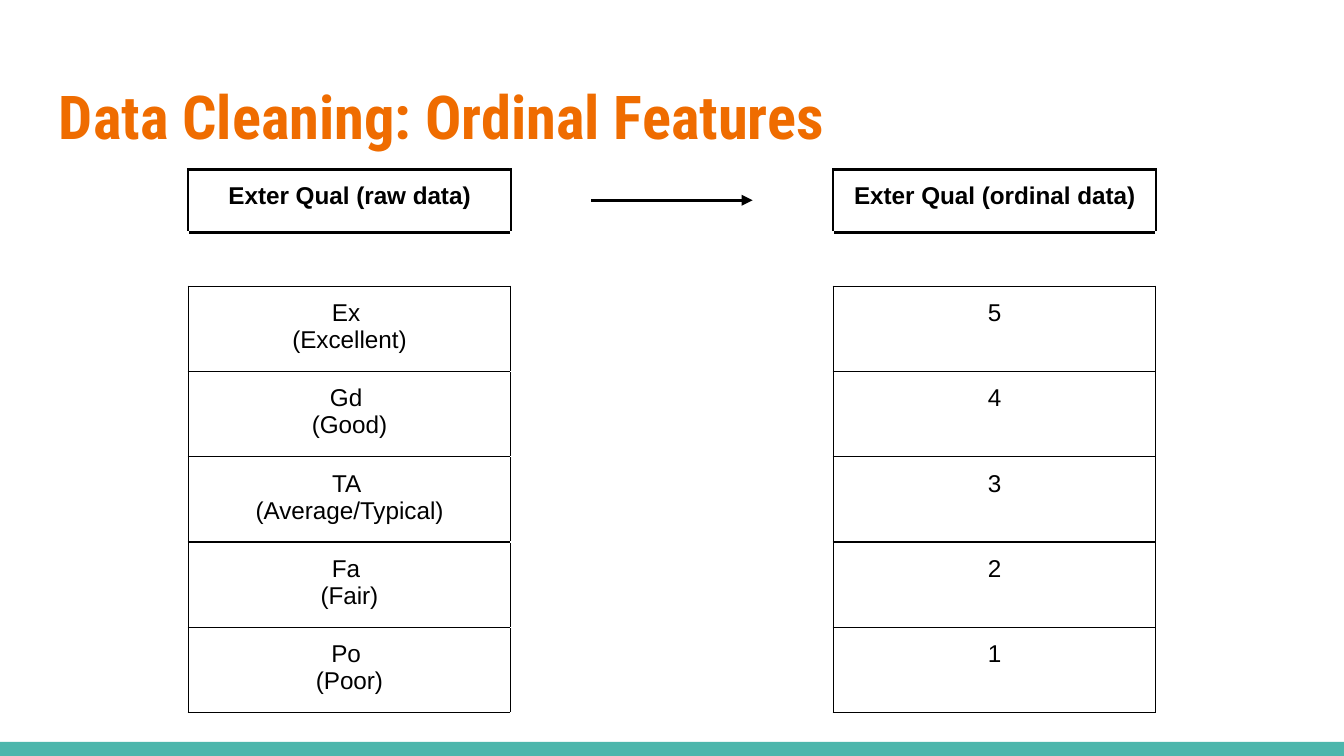
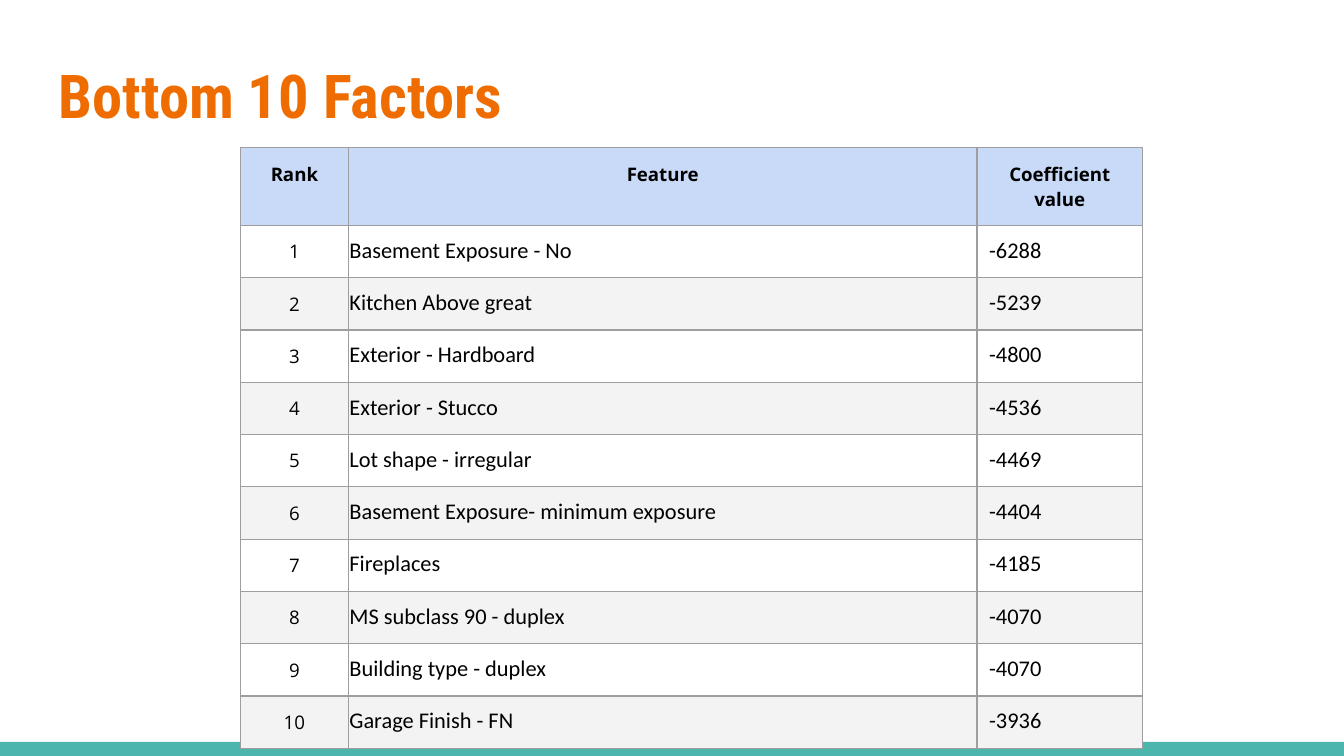
from lxml import etree
from pptx import Presentation
from pptx.dml.color import RGBColor
from pptx.enum.shapes import MSO_CONNECTOR, MSO_SHAPE
from pptx.enum.text import MSO_ANCHOR, PP_ALIGN
from pptx.oxml.ns import qn
from pptx.util import Inches, Pt

ORANGE = RGBColor(0xEF, 0x6C, 0x00)
TEAL = RGBColor(0x4D, 0xB6, 0xAC)
BLACK = RGBColor(0x00, 0x00, 0x00)
WHITE = RGBColor(0xFF, 0xFF, 0xFF)
GREY = RGBColor(0x9E, 0x9E, 0x9E)
PALE_GREY = RGBColor(0xF3, 0xF3, 0xF3)
PALE_BLUE = RGBColor(0xC9, 0xDA, 0xF8)

TITLE_FONT = "Roboto Condensed"
THIN, THICK = 0.75, 1.5
EVEN_MARGINS = (0.1, 0.1, 0.1, 0.1)

QUALITIES = [
    ("Ex ", "(Excellent)"),
    ("Gd ", "(Good)"),
    ("TA ", "(Average/Typical)"),
    ("Fa ", "(Fair)"),
    ("Po ", "(Poor)"),
]
FACTORS = [
    ("Basement Exposure - No", -6288),
    ("Kitchen Above great", -5239),
    ("Exterior - Hardboard", -4800),
    ("Exterior - Stucco", -4536),
    ("Lot shape - irregular", -4469),
    ("Basement Exposure- minimum exposure", -4404),
    ("Fireplaces", -4185),
    ("MS subclass 90 - duplex", -4070),
    ("Building type - duplex", -4070),
    ("Garage Finish - FN", -3936),
]


def format_text(text_frame, font_name, size, color, bold=False, alignment=PP_ALIGN.LEFT):
    """Give every run of a text frame the same look."""
    for paragraph in text_frame.paragraphs:
        paragraph.alignment = alignment
        paragraph.line_spacing = 1.0
        for run in paragraph.runs:
            run.font.name = font_name
            run.font.size = Pt(size)
            run.font.bold = bold
            run.font.color.rgb = color


def set_margins(target, margins):
    """Set left, top, right and bottom margins of a cell or text frame."""
    sides = ("margin_left", "margin_top", "margin_right", "margin_bottom")
    for side, margin in zip(sides, margins):
        setattr(target, side, Inches(margin))


def set_borders(cell, left, top, right, bottom):
    """Draw the four borders of a cell, each given as (color, points)."""
    properties = cell._tc.get_or_add_tcPr()
    borders = {"a:lnL": left, "a:lnR": right, "a:lnT": top, "a:lnB": bottom}
    for index, (tag, (color, width)) in enumerate(borders.items()):
        line = etree.Element(qn(tag), w=str(Pt(width)))
        fill = etree.SubElement(line, qn("a:solidFill"))
        etree.SubElement(fill, qn("a:srgbClr"), val=str(color))
        properties.insert(index, line)


def write_cell(cell, text, font_name, size, bold=False, alignment=PP_ALIGN.CENTER,
               margins=EVEN_MARGINS, anchor=MSO_ANCHOR.TOP):
    """Fill a cell with formatted black text."""
    cell.text_frame.text = text
    cell.vertical_anchor = anchor
    set_margins(cell, margins)
    format_text(cell.text_frame, font_name, size, BLACK, bold, alignment)


def add_plain_table(slide, left, top, widths, heights):
    """Add a table without style banding and with unfilled cells."""
    frame = slide.shapes.add_table(
        len(heights), len(widths), Inches(left), Inches(top),
        Inches(sum(widths)), Inches(sum(heights)))
    table = frame.table
    table.first_row = False
    table.horz_banding = False
    for column, width in zip(table.columns, widths):
        column.width = Inches(width)
    for row, height in zip(table.rows, heights):
        row.height = Inches(height)
    for cell in table.iter_cells():
        cell.fill.background()
    return table


def add_footer_band(slide, left, top, width, height):
    """Add the teal band at the foot of a slide."""
    band = slide.shapes.add_shape(
        MSO_SHAPE.RECTANGLE, Inches(left), Inches(top), Inches(width), Inches(height))
    band.shadow.inherit = False
    band.fill.solid()
    band.fill.fore_color.rgb = TEAL
    band.line.fill.background()


def add_title(slide, text, top):
    """Add the orange slide title."""
    box = slide.shapes.add_textbox(Inches(0.34), Inches(top), Inches(9.32), Inches(0.77))
    text_frame = box.text_frame
    text_frame.word_wrap = True
    text_frame.vertical_anchor = MSO_ANCHOR.TOP
    set_margins(text_frame, EVEN_MARGINS)
    text_frame.text = text
    format_text(text_frame, TITLE_FONT, 32.4, ORANGE, bold=True)


def add_base_slide(presentation):
    """Add a blank slide with the shared footer band."""
    slide = presentation.slides.add_slide(presentation.slide_layouts[6])
    add_footer_band(slide, 0, 5.52, 10, 0.11)
    return slide


def add_arrow(slide, left, right, y):
    """Add a horizontal arrow pointing right."""
    arrow = slide.shapes.add_connector(
        MSO_CONNECTOR.STRAIGHT, Inches(left), Inches(y), Inches(right), Inches(y))
    arrow.line.color.rgb = BLACK
    arrow.line.width = Pt(THICK)
    etree.SubElement(arrow.line._get_or_add_ln(), qn("a:tailEnd"), type="triangle")
    etree.SubElement(arrow._element.spPr, qn("a:effectLst"))


def add_quality_table(slide, left, top, column_width):
    """Add the mapping from raw quality labels to ordinal values."""
    heights = [0.47, 0.38, 0.58, 0.58, 0.62, 0.58, 0.58]
    table = add_plain_table(slide, left, top, [column_width] * 3, heights)
    thin, thick = (BLACK, THIN), (BLACK, THICK)
    thin_gap, thick_gap = (WHITE, THIN), (WHITE, THICK)

    for column, kind in ((0, "raw"), (2, "ordinal")):
        header = table.cell(0, column)
        write_cell(header, f"Exter Qual ({kind} data)", "Arial", 13, bold=True)
        set_borders(header, thick, thick, thick, thick)
        set_borders(table.cell(1, column), thick_gap, thick, thick_gap, thin)
    set_borders(table.cell(0, 1), thick, thick_gap, thick, thick_gap)
    set_borders(table.cell(1, 1), thick_gap, thick_gap, thick_gap, thick_gap)

    for index, labels in enumerate(QUALITIES):
        row = index + 2
        texts = {0: "\n".join(labels), 2: str(len(QUALITIES) - index)}
        for column, text in texts.items():
            write_cell(table.cell(row, column), text, "Arial", 13)
            set_borders(table.cell(row, column), thin, thin, thin, thin)
        gap_top = thin_gap if index else thick_gap
        set_borders(table.cell(row, 1), thin, gap_top, thin, thin_gap)


def add_factor_table(slide, left, top):
    """Add the ranked table of features and coefficients."""
    heights = [0.46] + [0.34] * 3 + [0.36, 0.26] + [0.34] * 5
    table = add_plain_table(slide, left, top, [0.8, 4.68, 1.23], heights)

    for column, heading in enumerate(("Rank", "Feature", "Coefficient value")):
        write_cell(table.cell(0, column), heading, "Open Sans", 10, bold=True)
    for rank, (feature, coefficient) in enumerate(FACTORS, start=1):
        write_cell(table.cell(rank, 0), str(rank), "Open Sans", 10)
        details = ((feature, 0.01), (str(coefficient), 0.09))
        for column, (text, indent) in enumerate(details, start=1):
            write_cell(table.cell(rank, column), text, "Calibri", 12,
                       alignment=PP_ALIGN.LEFT, margins=(indent, 0.01, 0.01, 0.1),
                       anchor=MSO_ANCHOR.BOTTOM)

    border = (GREY, THIN)
    for row_index, row in enumerate(table.rows):
        for cell in row.cells:
            if row_index % 2 == 0:
                cell.fill.solid()
                cell.fill.fore_color.rgb = PALE_GREY if row_index else PALE_BLUE
            set_borders(cell, border, border, border, border)


def build_ordinal_slide(presentation):
    """Build the slide on ordinal features."""
    slide = add_base_slide(presentation)
    add_title(slide, "Data Cleaning: Ordinal Features", 0.49)
    add_quality_table(slide, 1.4, 1.26, 2.4)
    add_arrow(slide, 4.4, 5.6, 1.49)


def build_factor_slide(presentation):
    """Build the slide on the bottom ten factors."""
    slide = add_base_slide(presentation)
    add_factor_table(slide, 1.79, 1.1)
    add_title(slide, "Bottom 10 Factors", 0.33)


def main():
    """Build and save the presentation."""
    presentation = Presentation()
    presentation.slide_width = Inches(10)
    presentation.slide_height = Inches(10 * 9 / 16)
    build_ordinal_slide(presentation)
    build_factor_slide(presentation)
    presentation.save("out.pptx")


if __name__ == "__main__":
    main()
